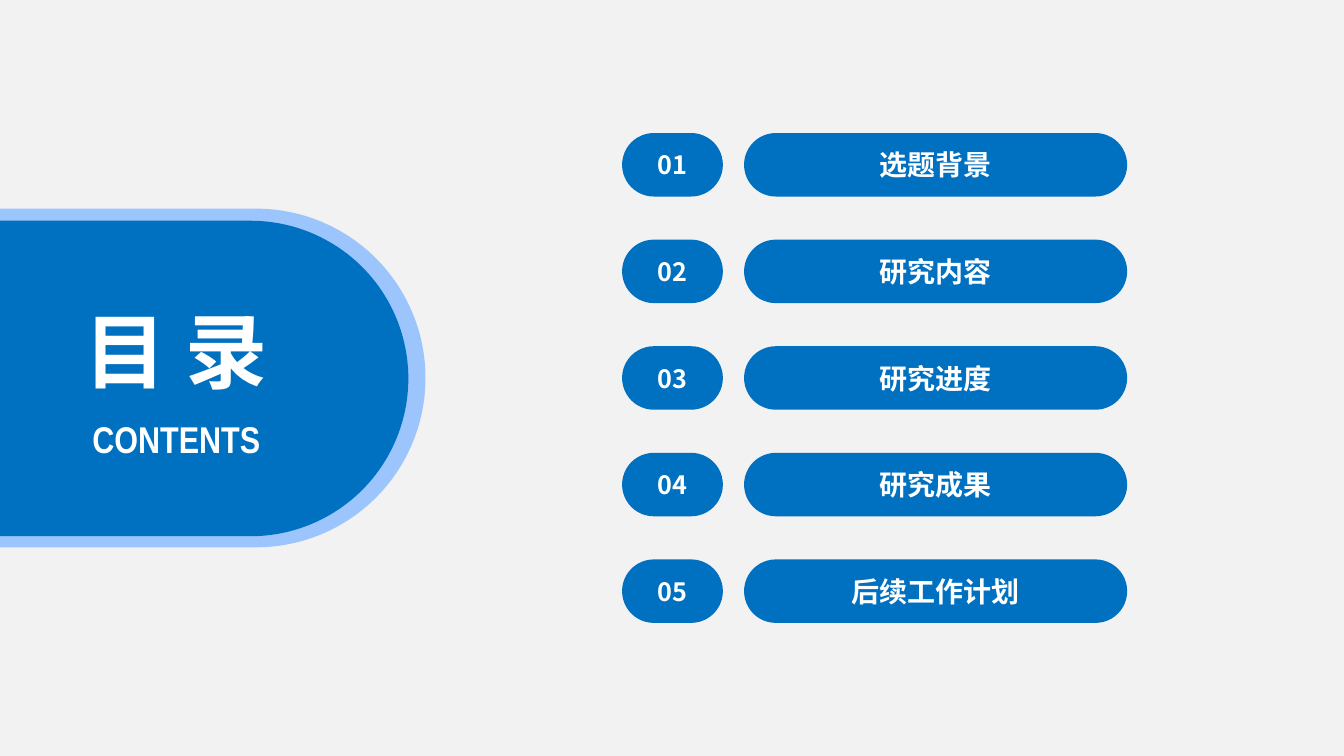
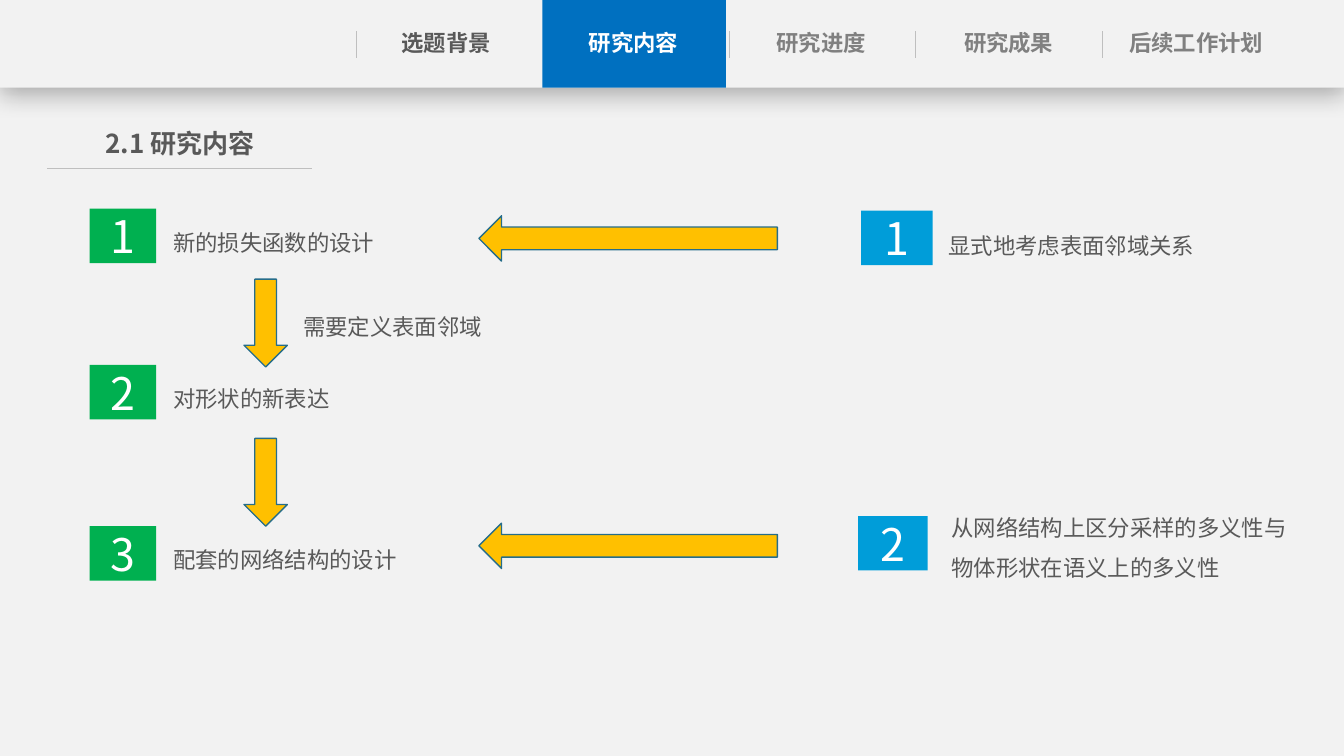
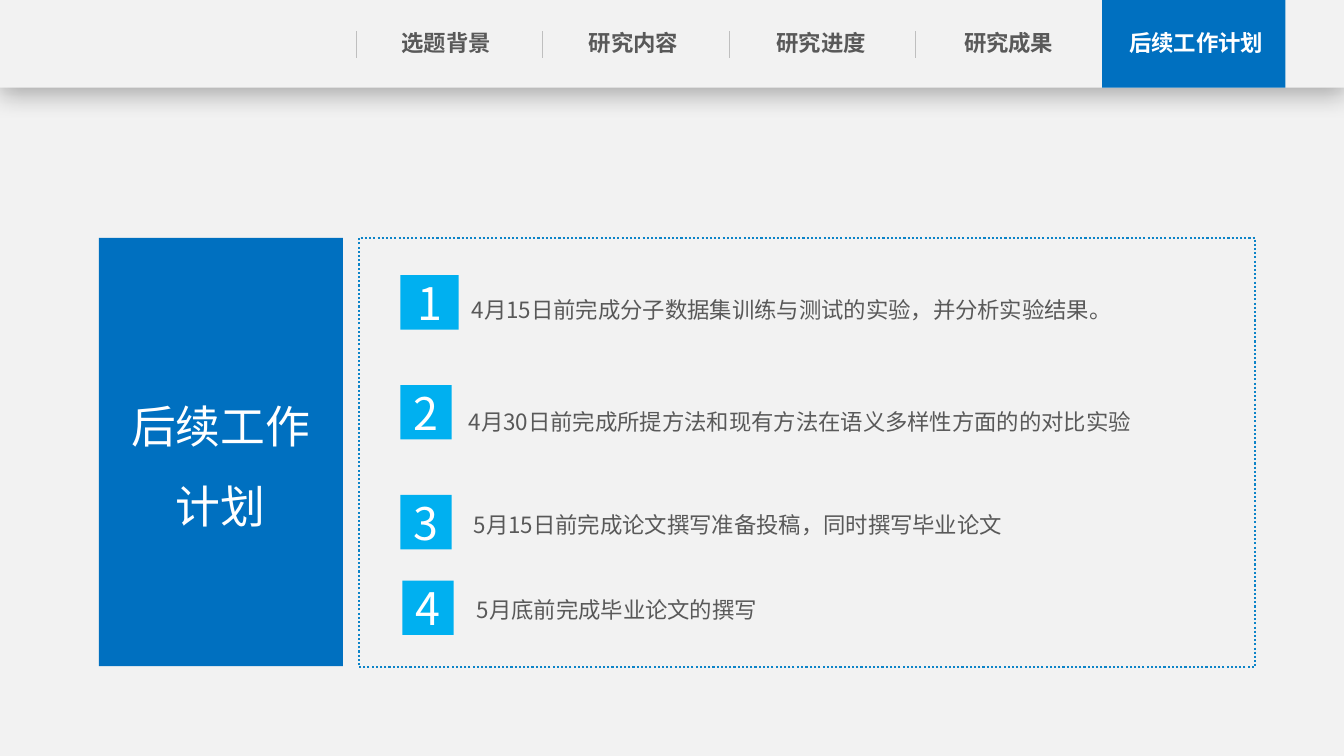
from dataclasses import dataclass
from typing import NamedTuple

from lxml import etree
from pptx import Presentation
from pptx.dml.color import RGBColor
from pptx.enum.dml import MSO_LINE
from pptx.enum.shapes import MSO_CONNECTOR, MSO_SHAPE
from pptx.enum.text import MSO_ANCHOR, MSO_AUTO_SIZE, PP_ALIGN
from pptx.oxml.ns import qn
from pptx.util import Inches, Pt

RECTANGLE = MSO_SHAPE.RECTANGLE
PILL = MSO_SHAPE.ROUNDED_RECTANGLE
LEFT_ARROW = MSO_SHAPE.LEFT_ARROW
DOWN_ARROW = MSO_SHAPE.DOWN_ARROW
STRAIGHT = MSO_CONNECTOR.STRAIGHT
DOTTED = MSO_LINE.ROUND_DOT
LEFT, CENTER = PP_ALIGN.LEFT, PP_ALIGN.CENTER
TOP, MIDDLE = MSO_ANCHOR.TOP, MSO_ANCHOR.MIDDLE
FIXED_SIZE = MSO_AUTO_SIZE.NONE
TITLE_ONLY = 5

SECTIONS = ("选题背景", "研究内容", "研究进度", "研究成果", "后续工作计划")


@dataclass(frozen=True)
class Theme:
    """Colours, fonts and type sizes shared by the slides."""
    paper: str = "F2F2F2"
    blue: str = "0070C0"
    halo: str = "9CC5FD"
    cyan: str = "009DD9"
    sky: str = "00B0F0"
    green: str = "00B050"
    amber: str = "FFC000"
    arrow_edge: str = "266D8A"
    frame: str = "0D84C8"
    rule: str = "BFBFBF"
    ink: str = "595959"
    muted: str = "808080"
    white: str = "FFFFFF"
    shade: str = "000000"
    font: str = "Noto Sans CJK SC"
    narrow_font: str = "Arial Narrow"
    cover_size: float = 58.6
    subtitle_size: float = 26.6
    heading_size: float = 18.6
    number_size: float = 18
    entry_size: float = 20
    body_size: float = 16
    chip_size: float = 32


class Box(NamedTuple):
    """A rectangle in inches."""
    left: float
    top: float
    width: float
    height: float

    def lengths(self):
        """Return the four lengths for python-pptx."""
        return [Inches(value) for value in self]


THEME = Theme()


def write(shape, text, size=THEME.body_size, color=THEME.ink, bold=False, align=CENTER,
          anchor=MIDDLE, spacing=1, side=0.1, font=THEME.font):
    """Fill a shape with formatted text, one paragraph a line."""
    frame = shape.text_frame
    frame.word_wrap = True
    frame.auto_size = FIXED_SIZE
    frame.vertical_anchor = anchor
    frame.margin_left = frame.margin_right = Inches(side)
    frame.margin_top = frame.margin_bottom = Inches(0.05)
    frame.text = text
    for para in frame.paragraphs:
        para.alignment = align
        para.line_spacing = spacing
        for span in para.runs:
            span.font.size = Pt(size)
            span.font.bold = bold
            span.font.color.rgb = RGBColor.from_string(color)
            span.font.name = font
            properties = span.font.element if hasattr(span.font, "element") else span._r.get_or_add_rPr()
            etree.SubElement(properties, qn("a:ea"), typeface=font)


def add_label(page, box, text, **style):
    """Add a text box."""
    label = page.shapes.add_textbox(*box.lengths())
    write(label, text, **{"anchor": TOP, **style})


def add_block(page, kind, box, fill=None, line=None, weight=1):
    """Add a preset shape without a shadow."""
    block = page.shapes.add_shape(kind, *box.lengths())
    block.shadow.inherit = False
    if kind == PILL:
        block.adjustments[0] = 0.5
    if fill:
        block.fill.solid()
        block.fill.fore_color.rgb = RGBColor.from_string(fill)
    else:
        block.fill.background()
    if line:
        block.line.color.rgb = RGBColor.from_string(line)
        block.line.width = Pt(weight)
    else:
        block.line.fill.background()
    return block


def add_rule(page, left, top, right, bottom):
    """Add a thin grey line."""
    ends = [Inches(value) for value in (left, top, right, bottom)]
    rule = page.shapes.add_connector(STRAIGHT, *ends)
    rule.line.color.rgb = RGBColor.from_string(THEME.rule)
    rule.line.width = Pt(0.5)
    etree.SubElement(rule.element.spPr, qn("a:effectLst"))


def add_soft_shadow(block):
    """Give a block a blurred shadow below it."""
    effects = block.element.spPr.find(qn("a:effectLst"))
    shadow = etree.SubElement(effects, qn("a:outerShdw"), blurRad=str(Pt(18)),
                              dist=str(Pt(4)), dir="5400000", algn="t", rotWithShape="0")
    color = etree.SubElement(shadow, qn("a:srgbClr"), val=THEME.shade)
    etree.SubElement(color, qn("a:alpha"), val="29000")


def set_title(page, box, text, fill=None, **style):
    """Place the title placeholder in front and format it."""
    title = page.shapes.title
    title.left, title.top, title.width, title.height = box.lengths()
    if fill:
        title.fill.solid()
        title.fill.fore_color.rgb = RGBColor.from_string(fill)
    write(title, text, **style)
    title.element.getparent().append(title.element)


def add_page(deck):
    """Add a title-only slide."""
    return deck.slides.add_slide(deck.slide_layouts[TITLE_ONLY])


def add_navigation(page, box, active):
    """Draw the section bar with one active tab."""
    bar = add_block(page, RECTANGLE, box, THEME.paper)
    add_soft_shadow(bar)
    for index, section in enumerate(SECTIONS):
        tab_left = box.left + 3.53 + 1.85 * index
        color = THEME.muted if index > active else THEME.ink
        if index == active:
            color = THEME.white
            add_block(page, RECTANGLE, Box(tab_left, box.top, 1.82, box.height), THEME.blue)
        else:
            add_rule(page, tab_left, box.top + 0.31, tab_left, box.top + 0.58)
        label_box = Box(box.left + 3.69 + 1.86 * index, box.top + 0.24, 1.47, 0.38)
        add_label(page, label_box, section, color=color, bold=True, side=0)


def add_item(page, box, number, text, fill, chip_width, shift):
    """Group a numbered chip with its text, shifted from the box corner."""
    group = page.shapes.add_group_shape()
    across, down = shift
    text_box = Box(box.left + across, box.top + down, box.width - across, box.height)
    add_label(group, text_box, text, align=LEFT, spacing=1.5)
    chip = add_block(group, RECTANGLE, Box(box.left, box.top, chip_width, 0.54), fill)
    write(chip, str(number), size=THEME.chip_size, color=THEME.white)


def add_contents_badge(page, box):
    """Draw the badge that enters from the left edge, with the title."""
    add_block(page, PILL, box, THEME.halo)
    add_block(page, PILL, Box(box.left + 0.26, box.top + 0.12, 5.75, 3.13), THEME.blue)
    add_label(page, Box(box.left + 2.58, box.top + 2.01, 2.26, 0.55), "CONTENTS",
              size=THEME.subtitle_size, color=THEME.white, bold=True, font=THEME.narrow_font)
    set_title(page, Box(box.left + 2.66, box.top + 0.86, 2.09, 1.09), "目 录",
              size=THEME.cover_size, color=THEME.white, bold=True, anchor=TOP, side=0)


def add_contents_list(page, box):
    """Draw one row of two pills for each section."""
    row_height = 0.63
    pitch = (box.height - row_height) / (len(SECTIONS) - 1)
    for index, section in enumerate(SECTIONS):
        top = box.top + pitch * index
        cells = ((0, 1, f"{index + 1:02}", THEME.number_size),
                 (1.21, box.width - 1.21, section, THEME.entry_size))
        for offset, width, text, size in cells:
            pill = add_block(page, PILL, Box(box.left + offset, top, width, row_height), THEME.blue)
            write(pill, text, size=size, color=THEME.white, bold=True)


def add_heading(page, box, text):
    """Place the underlined slide heading."""
    add_rule(page, box.left, box.top + box.height, box.left + box.width, box.top + box.height)
    set_title(page, Box(box.left + 0.28, box.top, 2.07, 0.42), text,
              size=THEME.heading_size, bold=True, anchor=TOP, side=0)


def add_design_steps(page, box):
    """Draw the three design steps joined by down arrows."""
    steps = ((0, "新的损失函数的设计"), (1.55, "对形状的新表达"), (3.15, "配套的网络结构的设计"))
    for number, (offset, text) in enumerate(steps, 1):
        add_item(page, Box(box.left, box.top + offset, box.width, 0.54), number, text,
                 THEME.green, 0.66, (0.73, 0.02))
    for offset in (0.7, 2.28):
        add_block(page, DOWN_ARROW, Box(box.left + 1.53, box.top + offset, 0.43, 0.87),
                  THEME.amber, THEME.arrow_edge)
    add_label(page, Box(box.left + 2.02, box.top + 0.85, 2.15, 0.5), "需要定义表面邻域",
              align=LEFT, spacing=1.5)


def add_motives(page, box):
    """Draw the two motives and the arrows that lead from them."""
    motives = ((0.03, 0, 0.71, (0.77, 0.03), "显式地考虑表面邻域关系"),
               (0, 3.03, 0.69, (0.83, -0.2), "从网络结构上区分采样的多义性与\n物体形状在语义上的多义性"))
    for number, (across, down, chip_width, shift, text) in enumerate(motives, 1):
        add_item(page, Box(box.left + across, box.top + down, box.width - across, 0.54),
                 number, text, THEME.cyan, chip_width, shift)
    for down in (0.05, 3.1):
        add_block(page, LEFT_ARROW, Box(box.left - 3.76, box.top + down, 2.96, 0.45),
                  THEME.amber, THEME.arrow_edge)


def add_plan(page, box):
    """Draw the dotted frame with the dated tasks."""
    frame = add_block(page, RECTANGLE, box, line=THEME.frame, weight=1.5)
    frame.line.dash_style = DOTTED
    tasks = ((0.41, 0.37, 0.58, (0.61, 0.03), "4月15日前完成分子数据集训练与测试的实验，并分析实验结果。"),
             (0.41, 1.46, 0.51, (0.58, 0.05), "4月30日前完成所提方法和现有方法在语义多样性方面的的对比实验"),
             (0.41, 2.55, 0.51, (0.63, -0.02), "5月15日前完成论文撰写准备投稿，同时撰写毕业论文"),
             (0.43, 3.4, 0.51, (0.64, -0.03), "5月底前完成毕业论文的撰写"))
    for number, (across, down, chip_width, shift, text) in enumerate(tasks, 1):
        add_item(page, Box(box.left + across, box.top + down, 8.3, 0.54),
                 number, text, THEME.sky, chip_width, shift)


def build_contents(deck):
    """Build the contents slide."""
    page = add_page(deck)
    add_contents_badge(page, Box(-1.96, 2.07, 6.18, 3.36))
    add_contents_list(page, Box(6.17, 1.32, 5.01, 4.86))


def build_research(deck, bar):
    """Build the research content slide."""
    page = add_page(deck)
    add_navigation(page, bar, 1)
    add_heading(page, Box(0.47, 1.21, 2.62, 0.46), "2.1 研究内容")
    add_design_steps(page, Box(0.89, 2.07, 6.78, 3.7))
    add_motives(page, Box(8.51, 2.09, 4.57, 3.7))


def build_plan(deck, bar):
    """Build the further work slide."""
    page = add_page(deck)
    add_navigation(page, bar, 4)
    add_plan(page, Box(3.56, 2.36, 8.89, 4.26))
    set_title(page, Box(0.98, 2.36, 2.42, 4.25), SECTIONS[4], fill=THEME.blue,
              size=THEME.chip_size, color=THEME.white, spacing=1.5, side=0.2)


def main():
    """Build and save the deck."""
    deck = Presentation()
    deck.slide_width, deck.slide_height = Inches(13.33), Inches(7.5)
    backdrop = deck.slide_master.background.fill
    backdrop.solid()
    backdrop.fore_color.rgb = RGBColor.from_string(THEME.paper)
    bar = Box(0, 0, 13.33, 0.87)
    build_contents(deck)
    build_research(deck, bar)
    build_plan(deck, bar)
    deck.save("out.pptx")


if __name__ == "__main__":
    main()
